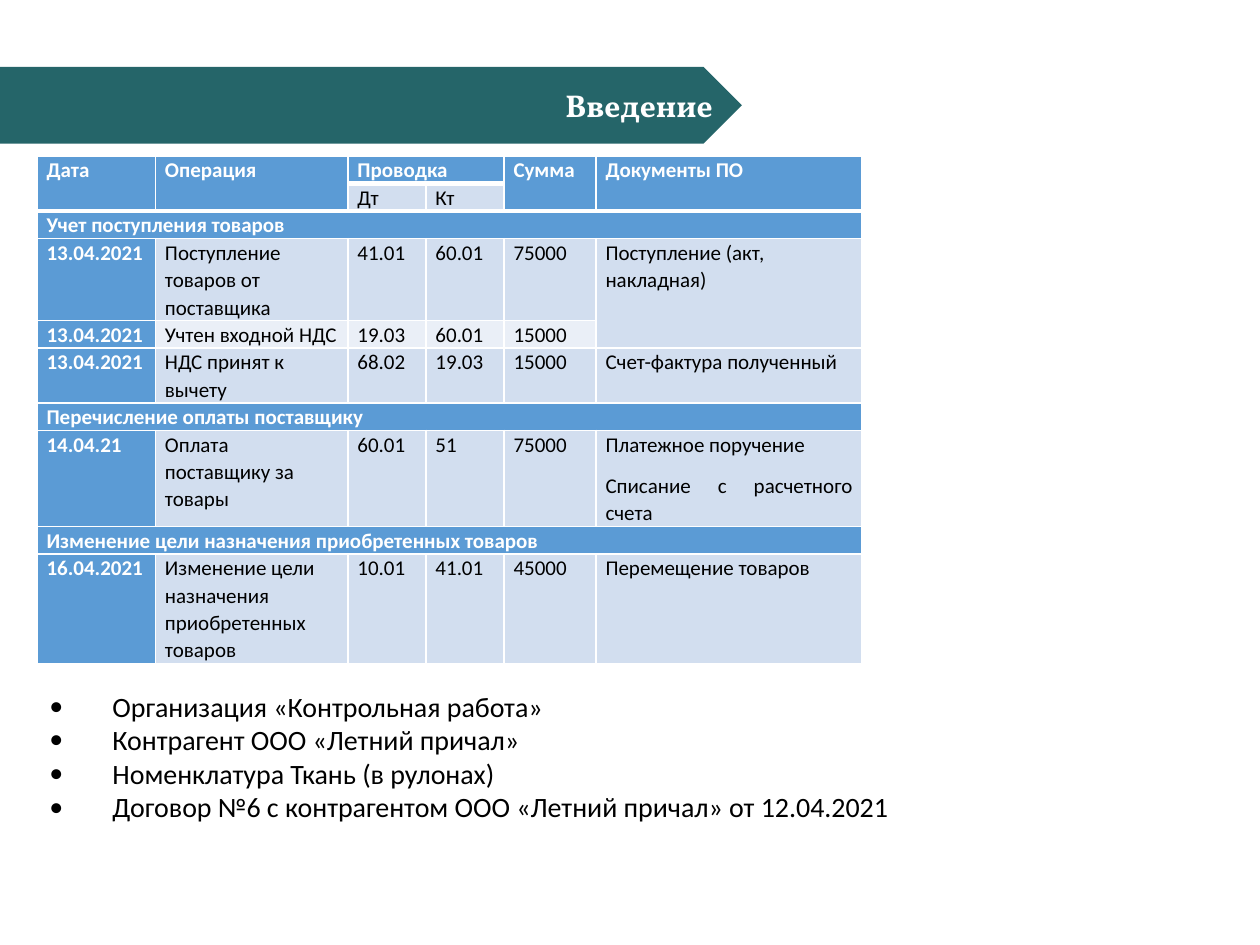
from lxml.etree import SubElement
from pptx import Presentation
from pptx.dml.color import RGBColor
from pptx.enum.shapes import MSO_SHAPE
from pptx.enum.text import MSO_ANCHOR, MSO_AUTO_SIZE, PP_ALIGN
from pptx.oxml import parse_xml
from pptx.oxml.ns import nsdecls, qn
from pptx.util import Pt

TEAL = RGBColor(0x25, 0x65, 0x69)
BLUE = RGBColor(0x5B, 0x9B, 0xD5)
PALE = RGBColor(0xD2, 0xDE, 0xEF)
PALER = RGBColor(0xEA, 0xEF, 0xF7)
WHITE = RGBColor(0xFF, 0xFF, 0xFF)
BLACK = RGBColor(0, 0, 0)

TITLE = "Введение"
# Each row: number of text lines it is high, then its cells; a single cell is a section heading
ROWS = [
    (1, ["Дата", "Операция", "Проводка", "", "Сумма", "Документы ПО"]),
    (1, ["", "", "Дт", "Кт", "", ""]),
    (1, ["Учет поступления товаров"]),
    (3, ["13.04.2021", "Поступление товаров от поставщика", "41.01", "60.01", "75000",
         "Поступление (акт, накладная)"]),
    (1, ["13.04.2021", "Учтен входной НДС", "19.03", "60.01", "15000", ""]),
    (2, ["13.04.2021", "НДС принят к вычету", "68.02", "19.03", "15000",
         "Счет-фактура полученный"]),
    (1, ["Перечисление оплаты поставщику"]),
    (3.5, ["14.04.21", "Оплата поставщику за товары", "60.01", "51", "75000",
           "Платежное поручение\nСписание с расчетного счета"]),
    (1, ["Изменение цели назначения приобретенных товаров"]),
    (4, ["16.04.2021", "Изменение цели назначения приобретенных товаров", "10.01", "41.01",
         "45000", "Перемещение товаров"]),
]
COLUMN_WIDTHS = [67.7, 110, 44.6, 44.6, 52.6, 152]
LINE_HEIGHT = 15.4
# First row, first column, last row, last column
MERGES = [(0, 0, 1, 0), (0, 1, 1, 1), (0, 2, 0, 3), (0, 4, 1, 4), (0, 5, 1, 5), (3, 5, 4, 5)]
PALER_ROW = 4
FACTS = [
    "Организация «Контрольная работа»",
    "Контрагент ООО «Летний причал»",
    "Номенклатура Ткань (в рулонах)",
    "Договор №6 с контрагентом ООО «Летний причал» от 12.04.2021",
]


def format_runs(para, font, size, color, bold=False):
    for span in para.runs:
        span.font.name = font
        span.font.size = Pt(size)
        span.font.color.rgb = color
        span.font.bold = bold


def add_borders(cell, bottom_width):
    properties = cell._tc.get_or_add_tcPr()
    for index, side in enumerate("LRTB"):
        width = Pt(bottom_width if side == "B" else 1)
        properties.insert(index, parse_xml(
            f'<a:ln{side} {nsdecls("a")} w="{width}"><a:solidFill>'
            f'<a:srgbClr val="{WHITE}"/></a:solidFill></a:ln{side}>'))


def add_title(slide):
    title = slide.shapes.title
    title.left, title.top, title.width, title.height = Pt(294.6), Pt(45.4), Pt(120), Pt(29)
    frame = title.text_frame
    frame.text = TITLE
    frame.word_wrap = False
    frame.auto_size = MSO_AUTO_SIZE.NONE
    frame.vertical_anchor = MSO_ANCHOR.TOP
    frame.paragraphs[0].alignment = PP_ALIGN.RIGHT
    format_runs(frame.paragraphs[0], "Vollkorn", 18, WHITE, True)

    banner = slide.shapes.add_shape(MSO_SHAPE.PENTAGON, 0, Pt(38.2), Pt(424), Pt(43.9))
    banner.shadow.inherit = False
    banner.fill.solid()
    banner.fill.fore_color.rgb = TEAL
    banner.line.fill.background()
    title.element.addprevious(banner.element)  # the banner lies behind the title


def fill_cell(cell, text, row, column, is_section):
    on_blue = row == 0 or column == 0 or is_section
    cell.margin_left = cell.margin_right = Pt(5.4)
    cell.margin_top = cell.margin_bottom = 0
    cell.fill.solid()
    cell.fill.fore_color.rgb = BLUE if on_blue else PALER if row == PALER_ROW else PALE
    add_borders(cell, 3 if row == 0 else 1)
    cell.text_frame.text = text
    paragraphs = cell.text_frame.paragraphs
    is_ragged = column == 1 or (column == 5 and len(paragraphs) == 1)
    for para in paragraphs:
        para.alignment = PP_ALIGN.LEFT if is_ragged else PP_ALIGN.JUSTIFY
        para.line_spacing = 1.07
        para.space_after = Pt(8)
        para.font.size = Pt(12)  # keeps empty cells from growing their row
        format_runs(para, "Calibri", 12, WHITE if on_blue else BLACK, on_blue)


def add_entries_table(slide):
    column_count = len(COLUMN_WIDTHS)
    height = sum(lines for lines, _ in ROWS) * LINE_HEIGHT
    table = slide.shapes.add_table(len(ROWS), column_count, Pt(21.2), Pt(89.3),
                                   Pt(sum(COLUMN_WIDTHS)), Pt(height)).table
    for column, width in zip(table.columns, COLUMN_WIDTHS):
        column.width = Pt(width)
    for row, (lines, texts) in enumerate(ROWS):
        table.rows[row].height = Pt(lines * LINE_HEIGHT)
        is_section = len(texts) == 1
        padded = texts + [""] * (column_count - len(texts))
        for column, text in enumerate(padded):
            fill_cell(table.cell(row, column), text, row, column, is_section)
        if is_section:
            table.cell(row, 0).merge(table.cell(row, column_count - 1))
    for top, left, bottom, right in MERGES:
        table.cell(top, left).merge(table.cell(bottom, right))


def add_facts(slide):
    box = slide.shapes.add_textbox(Pt(21.2), Pt(390.2), Pt(656), Pt(85))
    frame = box.text_frame
    frame.word_wrap = True
    frame.text = "\n".join(FACTS)
    for para in frame.paragraphs:
        format_runs(para, "Calibri", 16, BLACK)
        properties = para._p.get_or_add_pPr()
        properties.set("marL", str(Pt(36)))
        properties.set("indent", str(-Pt(36)))
        SubElement(properties, qn("a:buFont"), typeface="Calibri")
        SubElement(properties, qn("a:buChar"), char="•")


def main():
    deck = Presentation()
    deck.slide_width, deck.slide_height = Pt(720), Pt(540)
    slide = deck.slides.add_slide(deck.slide_layouts[5])
    add_title(slide)
    add_entries_table(slide)
    add_facts(slide)
    deck.save("out.pptx")


if __name__ == "__main__":
    main()
